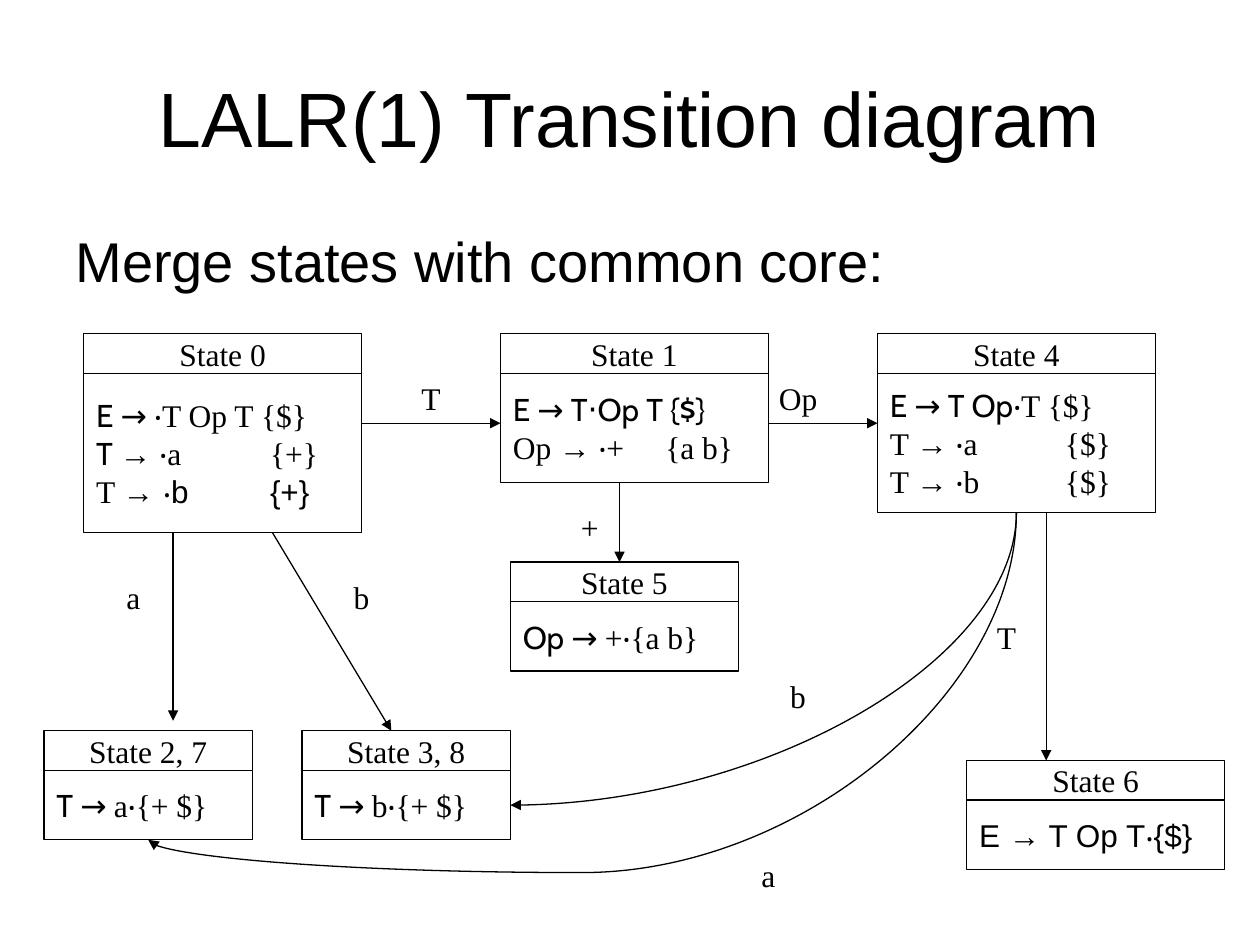
"""Build a slide with an LALR(1) transition diagram."""
from dataclasses import dataclass

from lxml import etree
from pptx import Presentation, util as u
from pptx.dml.color import RGBColor
from pptx.enum import shapes, text
from pptx.oxml.ns import qn


@dataclass(frozen=True)
class Theme:
    """Colours, fonts and sizes of the slide."""
    ink: RGBColor = RGBColor(0, 0, 0)
    paper: RGBColor = RGBColor(255, 255, 255)
    sans: str = "Arial"
    serif: str = "Times New Roman"
    accent: str = "Cabin"
    title: int = 44
    lead: int = 32
    body: int = 18
    line: float = 0.75


THEME = Theme()
SANS, SERIF, ACCENT = THEME.sans, THEME.serif, THEME.accent
CELL, LEFT, TOP = u.Mm(2), u.Inches(0.35), u.Inches(2.65)
HEADER_ROWS = 4

# Name, column, row, columns wide, body rows, tab stop in inches, productions.
STATES = [
    ("State 0", 4, 0, 28, 16, 1.38, [
        [("E → ", ACCENT), ("‧T Op T {$}", SERIF)],
        [("T ", ACCENT), ("→ ‧a\t{+}", SERIF)],
        [("T ", SERIF), ("→ ‧b\t{+}", SANS)]]),
    ("State 1", 46, 0, 27, 11, 1.21, [
        [("E → T‧Op T {$}", ACCENT)],
        [("Op → ‧+\t{a b}", SERIF)]]),
    ("State 4", 84, 0, 28, 14, 1.39, [
        [("E → T Op", ACCENT), ("‧T {$}", SERIF)],
        [("T → ‧a\t{$}", SERIF)],
        [("T → ‧b\t{$}", SERIF)]]),
    ("State 6", 93, 43, 26, 7, None, [[("E → T Op T‧{$}", SANS)]]),
    ("State 2, 7", 0, 40, 21, 7, None, [[("T → ", ACCENT), ("a‧{+ $}", SERIF)]]),
    ("State 3, 8", 26, 40, 21, 7, None, [[("T → ", ACCENT), ("b‧{+ $}", SERIF)]]),
    ("State 5", 47, 23, 23, 7, None, [[("Op → ", ACCENT), ("+‧{a b}", SERIF)]]),
]
LABELS = [("+", 53, 18), ("T", 37, 5), ("Op", 74, 5), ("T", 95, 29),
          ("a", 7, 25), ("b", 30, 25), ("b", 74, 35), ("a", 71, 53)]
ARROWS = [((32, 9), (46, 9)), ((73, 9), (84, 9)), ((101, 18), (101, 43)),
          ((58, 15), (58, 23)), ((13, 20), (13, 39)), ((23, 20), (35, 40))]
CURVES = [((98, 18), (47, 47.5), "curvedConnector2", None),
          ((98, 18), (10.5, 51), "curvedConnector3", 1.1)]


def across(column):
    """Return the horizontal position of a grid column."""
    return LEFT + round(column * CELL)


def down(row):
    """Return the vertical position of a grid row."""
    return TOP + round(row * CELL)


def add_span(para, words, font, size):
    """Add one formatted run to a paragraph."""
    span = para.add_run()
    span.text = words
    span.font.name = font
    span.font.size = u.Pt(size)
    span.font.color.rgb = THEME.ink


def add_box(page, column, row, columns, rows, line):
    """Add a paper-filled rectangle placed on the grid."""
    box = page.shapes.add_shape(shapes.MSO_SHAPE.RECTANGLE, across(column), down(row),
                                round(columns * CELL), round(rows * CELL))
    box.shadow.inherit = False
    box.fill.solid()
    box.fill.fore_color.rgb = THEME.paper
    box.line.color.rgb = line
    box.line.width = u.Pt(THEME.line)
    box.text_frame.vertical_anchor = text.MSO_ANCHOR.MIDDLE
    box.text_frame.word_wrap = False
    return box


def add_caption(page, words, column, row, columns, rows, line):
    """Add a box with one centred line of text."""
    para = add_box(page, column, row, columns, rows, line).text_frame.paragraphs[0]
    para.alignment = text.PP_ALIGN.CENTER
    add_span(para, words, SERIF, THEME.body)


def add_tab_stop(para, inches):
    """Give a paragraph one left tab stop."""
    stops = etree.SubElement(para._p.get_or_add_pPr(), qn("a:tabLst"))
    etree.SubElement(stops, qn("a:tab"), pos=str(u.Inches(inches)), algn="l")


def add_state(page, name, column, row, columns, rows, tab, productions):
    """Add a state: its name above its productions."""
    add_caption(page, name, column, row, columns, HEADER_ROWS, THEME.ink)
    frame = add_box(page, column, row + HEADER_ROWS, columns, rows, THEME.ink).text_frame
    frame.word_wrap = True
    for index, spans in enumerate(productions):
        para = frame.add_paragraph() if index else frame.paragraphs[0]
        para.alignment = text.PP_ALIGN.LEFT
        if tab:
            add_tab_stop(para, tab)
        for words, font in spans:
            add_span(para, words, font, THEME.body)


def add_arrow(page, start, end, kind=shapes.MSO_CONNECTOR.STRAIGHT):
    """Add a connector with an arrowhead between two grid points."""
    arrow = page.shapes.add_connector(kind, across(start[0]), down(start[1]),
                                      across(end[0]), down(end[1]))
    arrow.line.color.rgb = THEME.ink
    arrow.line.width = u.Pt(THEME.line)
    etree.SubElement(arrow.line._get_or_add_ln(), qn("a:tailEnd"), type="triangle")
    etree.SubElement(arrow._element.spPr, qn("a:effectLst"))
    return arrow


def add_curve(page, start, end, preset, bend):
    """Add a curved arrow that leaves downwards, as a quarter-turned connector."""
    middle_x, middle_y = (start[0] + end[0]) / 2, (start[1] + end[1]) / 2
    half_w, half_h = (end[1] - start[1]) / 2, (start[0] - end[0]) / 2
    curve = add_arrow(page, (middle_x - half_w, middle_y - half_h),
                      (middle_x + half_w, middle_y + half_h), shapes.MSO_CONNECTOR.CURVE)
    properties = curve._element.spPr
    properties.find(qn("a:xfrm")).set("rot", str(90 * 60000))
    geometry = properties.find(qn("a:prstGeom"))
    geometry.set("prst", preset)
    if bend:
        guides = geometry.find(qn("a:avLst"))
        etree.SubElement(guides, qn("a:gd"), name="adj1", fmla=f"val {round(bend * 100000)}")


def add_heading(page, deck, words, lead):
    """Fill the title and add the lead line below it."""
    wide, high = deck.slide_width, deck.slide_height
    margin, span_width = round(wide * 0.05), round(wide * 0.9)
    title = page.shapes.title
    title.left, title.top = margin, round(high * 0.04)
    title.width, title.height = span_width, u.Inches(1.25)
    title.text_frame.vertical_anchor = text.MSO_ANCHOR.MIDDLE
    para = title.text_frame.paragraphs[0]
    para.alignment = text.PP_ALIGN.CENTER
    add_span(para, words, SANS, THEME.title)

    box = page.shapes.add_textbox(margin, u.Inches(1.75), span_width, round(high * 0.1))
    box.text_frame.word_wrap = True
    para = box.text_frame.paragraphs[0]
    para.space_before = u.Pt(THEME.lead * 0.2)
    add_span(para, lead, SANS, THEME.lead)


def main():
    """Build and save the deck."""
    deck = Presentation()
    deck.slide_width, deck.slide_height = u.Inches(10), u.Inches(7.5)
    page = deck.slides.add_slide(deck.slide_layouts[5])
    add_heading(page, deck, "LALR(1) Transition diagram", "Merge states with common core:")
    for words, column, row in LABELS:
        add_caption(page, words, column, row, 4, 3, THEME.paper)
    for state in STATES:
        add_state(page, *state)
    for start, end in ARROWS:
        add_arrow(page, start, end)
    for curve in CURVES:
        add_curve(page, *curve)
    deck.save("out.pptx")


if __name__ == "__main__":
    main()
